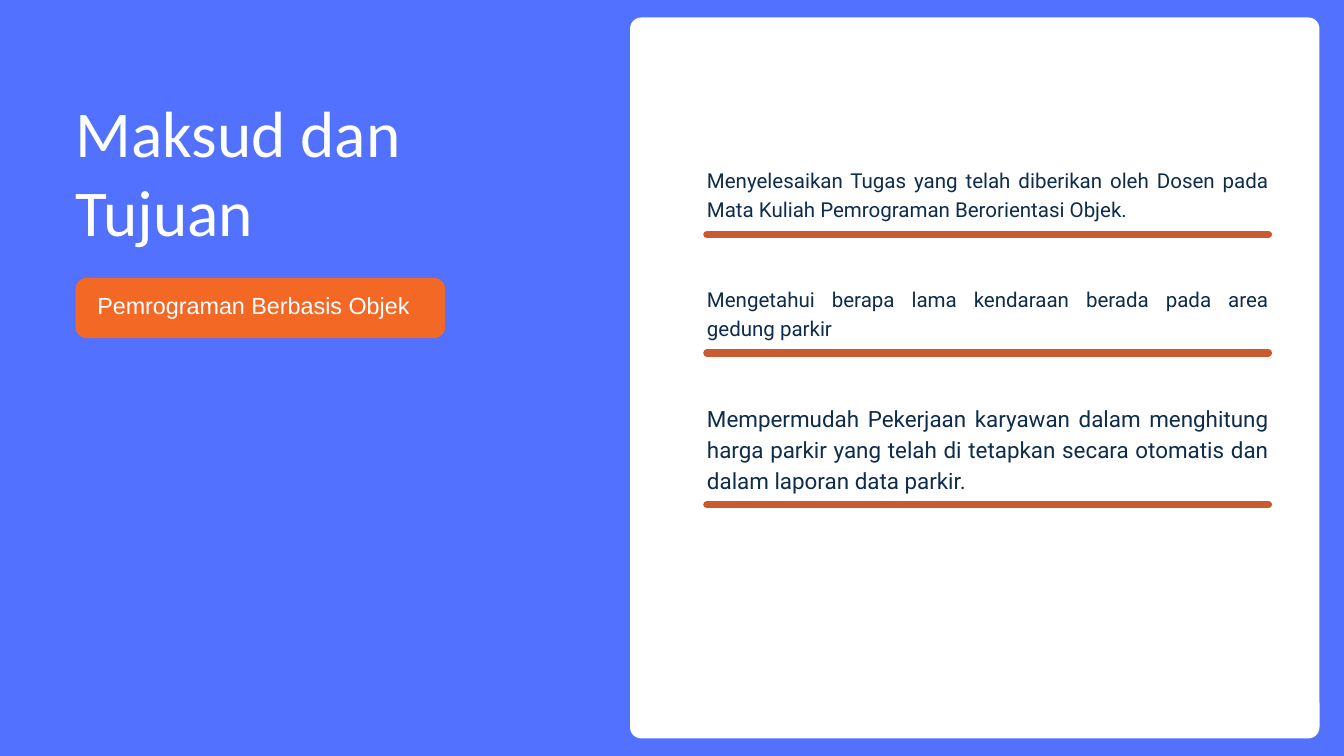
from pptx import Presentation
from pptx.dml.color import RGBColor
from pptx.enum.shapes import MSO_CONNECTOR, MSO_SHAPE
from pptx.enum.text import PP_ALIGN
from pptx.oxml.ns import qn
from pptx.util import Pt
from lxml.etree import SubElement

SCALE = 9525
BLUE, WHITE, ORANGE, RUST, NAVY = "5271FF", "FFFFFF", "F36825", "CA5A2F", "0E2C4B"


def px(*sizes):
    return [size * SCALE for size in sizes]


def paint(target, color):
    target.solid()
    target.fore_color.rgb = RGBColor.from_string(color)


class Page:
    """Draws styled elements on the current slide."""

    def __init__(self, deck):
        self.slide = deck.slides.add_slide(deck.slide_layouts[6])
        self.shapes = self.slide.shapes
        paint(self.slide.background.fill, BLUE)

    def card(self, left, top, width, height, color, radius=16):
        box = px(left, top, width, height)
        card = self.shapes.add_shape(MSO_SHAPE.ROUNDED_RECTANGLE, *box)
        card.adjustments[0] = radius / min(width, height)
        card.shadow.inherit = False
        paint(card.fill, color)
        card.line.fill.background()

    def rule(self, left, top, width):
        ends = px(left, top, left + width, top)
        rule = self.shapes.add_connector(MSO_CONNECTOR.STRAIGHT, *ends)
        paint(rule.line.fill, RUST)
        rule.line.width = Pt(8)
        rule.line._get_or_add_ln().set("cap", "rnd")
        SubElement(rule._element.spPr, qn("a:effectLst"))

    def text(self, left, top, width, height, words, size, lead, font, color, align=PP_ALIGN.LEFT):
        frame = self.shapes.add_textbox(*px(left, top, width, height)).text_frame
        frame.word_wrap = True
        frame.margin_left = frame.margin_right = 0
        frame.margin_top = frame.margin_bottom = 0
        frame.text = words
        for para in frame.paragraphs:
            para.alignment = align
            para.line_spacing = Pt(lead)
            for run in para.runs:
                run.font.size = Pt(size)
                run.font.name = font
                run.font.color.rgb = RGBColor.from_string(color)


def main():
    deck = Presentation()
    deck.slide_width, deck.slide_height = px(1920, 1080)
    page = Page(deck)

    page.card(900, 25, 985, 1030, WHITE)
    goals = [
        (234, 79, 335, 22, "Menyelesaikan Tugas yang telah diberikan oleh Dosen pada "
         "Mata Kuliah Pemrograman Berorientasi Objek."),
        (404, 79, 504, 22, "Mengetahui berapa lama kendaraan berada pada area gedung parkir"),
        (572, 130, 721, 24, "Mempermudah Pekerjaan karyawan dalam menghitung harga parkir "
         "yang telah di tetapkan secara otomatis dan dalam laporan data parkir."),
    ]
    for top, height, base, size, words in goals:
        page.rule(1010, base, 802)
        page.text(1010, top, 802, height, words, size, size * 1.4, "Roboto", NAVY, PP_ALIGN.JUSTIFY)

    page.card(108, 397, 528, 86, ORANGE)
    page.text(108, 132, 648, 221, "Maksud dan\nTujuan", 70, 84, "Calibri", WHITE)
    page.text(139, 416, 473, 40, "Pemrograman Berbasis Objek", 25, 30, "Arial", WHITE)
    deck.save("out.pptx")


if __name__ == "__main__":
    main()
